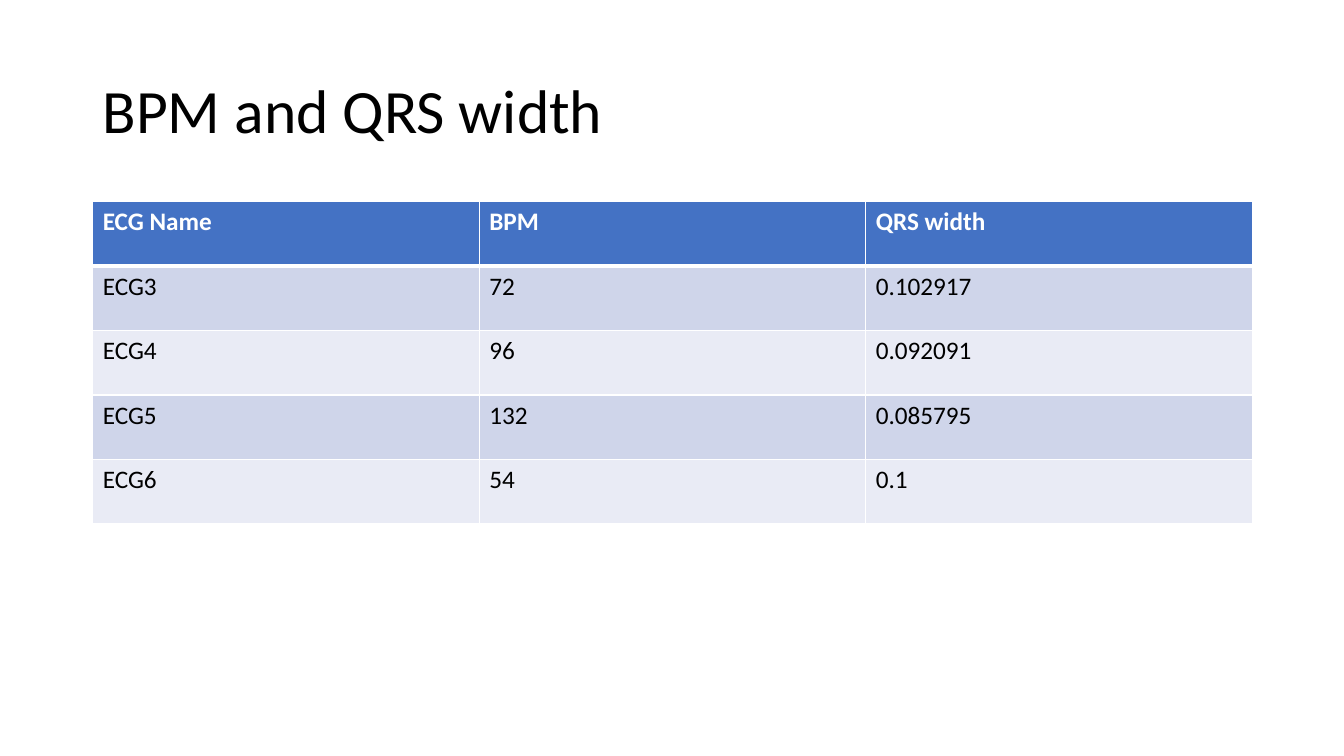
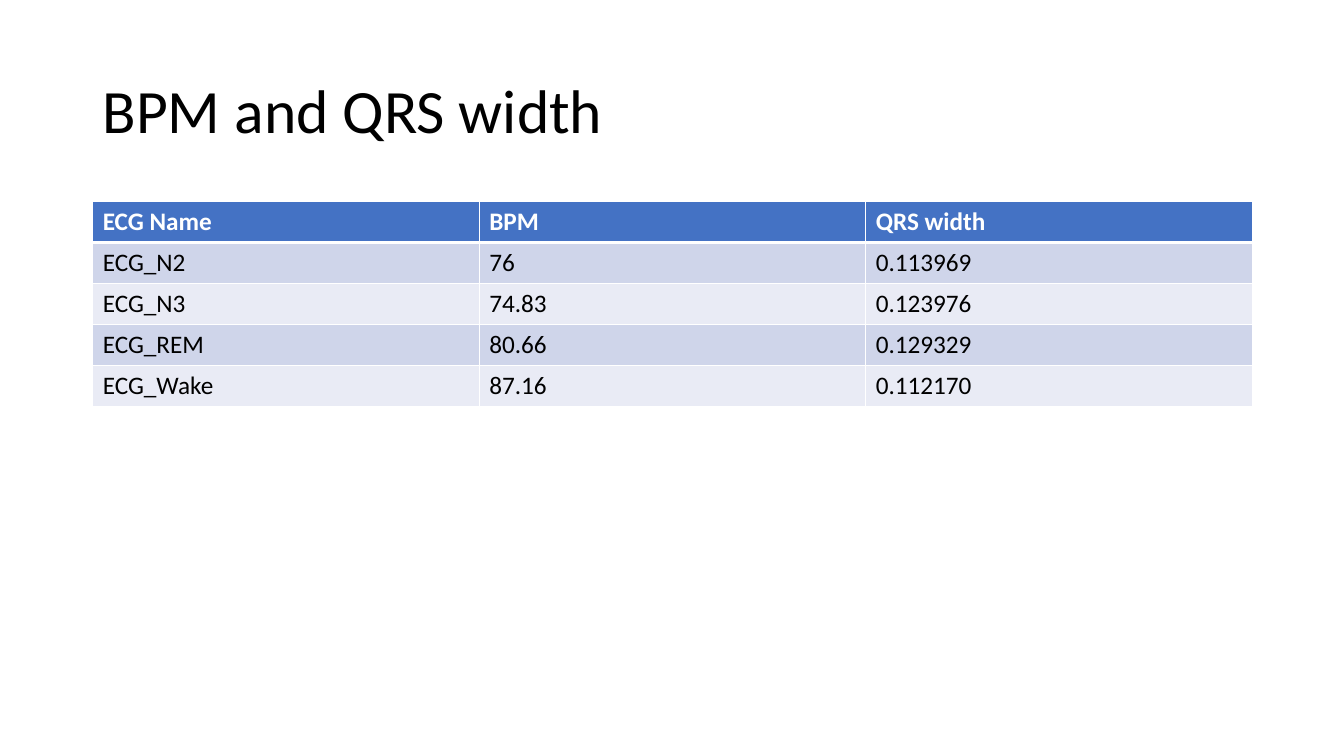
from dataclasses import dataclass

from lxml import etree
from pptx import Presentation
from pptx.dml.color import RGBColor
from pptx.enum.text import MSO_ANCHOR as Anchor
from pptx.oxml.ns import qn
from pptx.util import Inches, Pt


@dataclass(frozen=True)
class Theme:
    font: str = "Calibri"
    title_size: int = 44
    table_size: int = 18
    text: str = "000000"
    header_text: str = "FFFFFF"
    header_fill: str = "4472C4"
    bands: tuple = ("CFD5EA", "E9EBF5")
    border: str = "FFFFFF"
    border_width: int = 1
    header_rule: int = 3


THEME = Theme()
TITLE_BOX = (0.92, 0.4, 11.5, 1.45)
TITLE = "BPM and QRS width"
HEADER = ("ECG Name", "BPM", "QRS width")

# Each page: table box, then its records
PAGES = [
    ((0.92, 2, 11.5, 3.2), [
        ("ECG3", "72", "0.102917"),
        ("ECG4", "96", "0.092091"),
        ("ECG5", "132", "0.085795"),
        ("ECG6", "54", "0.1"),
    ]),
    ((0.92, 2, 11.5, 2.03), [
        ("ECG_N2", "76", "0.113969"),
        ("ECG_N3", "74.83", "0.123976"),
        ("ECG_REM", "80.66", "0.129329"),
        ("ECG_Wake", "87.16", "0.112170"),
    ]),
]


def style_font(para, size, color, bold=False):
    font = para.font
    font.name, font.size, font.bold = THEME.font, Pt(size), bold
    font.color.rgb = RGBColor.from_string(color)


def set_borders(cell, top, bottom):
    """Line all four sides; top and bottom widths are in points."""
    properties = cell._tc.get_or_add_tcPr()
    side = THEME.border_width
    widths = {"a:lnL": side, "a:lnR": side, "a:lnT": top, "a:lnB": bottom}
    for position, (tag, width) in enumerate(widths.items()):
        line = etree.Element(qn(tag), w=str(Pt(width)))
        fill = etree.SubElement(line, qn("a:solidFill"))
        etree.SubElement(fill, qn("a:srgbClr"), val=THEME.border)
        properties.insert(position, line)


def add_title(page, box, text):
    frame = page.shapes.add_textbox(*map(Inches, box)).text_frame
    frame.word_wrap = True
    frame.vertical_anchor = Anchor.MIDDLE
    para = frame.paragraphs[0]
    para.text = text
    para.line_spacing = 0.9
    style_font(para, THEME.title_size, THEME.text)


def fill_cell(cell, text, row_index):
    is_header = row_index == 0
    cell.text = text
    cell.fill.solid()
    fill = THEME.header_fill if is_header else THEME.bands[(row_index - 1) % 2]
    cell.fill.fore_color.rgb = RGBColor.from_string(fill)
    color = THEME.header_text if is_header else THEME.text
    style_font(cell.text_frame.paragraphs[0], THEME.table_size, color, is_header)
    set_borders(
        cell,
        top=THEME.header_rule if row_index == 1 else THEME.border_width,
        bottom=THEME.header_rule if is_header else THEME.border_width,
    )


def add_results_table(page, box, records):
    rows = [HEADER, *records]
    table = page.shapes.add_table(len(rows), len(HEADER), *map(Inches, box)).table
    for row_index, values in enumerate(rows):
        for column_index, text in enumerate(values):
            fill_cell(table.cell(row_index, column_index), text, row_index)


def add_results_page(deck, table_box, records):
    page = deck.slides.add_slide(deck.slide_layouts[6])
    add_title(page, TITLE_BOX, TITLE)
    add_results_table(page, table_box, records)


def main():
    deck = Presentation()
    deck.slide_width, deck.slide_height = Inches(13.33), Inches(7.5)
    for table_box, records in PAGES:
        add_results_page(deck, table_box, records)
    deck.save("out.pptx")


if __name__ == "__main__":
    main()
